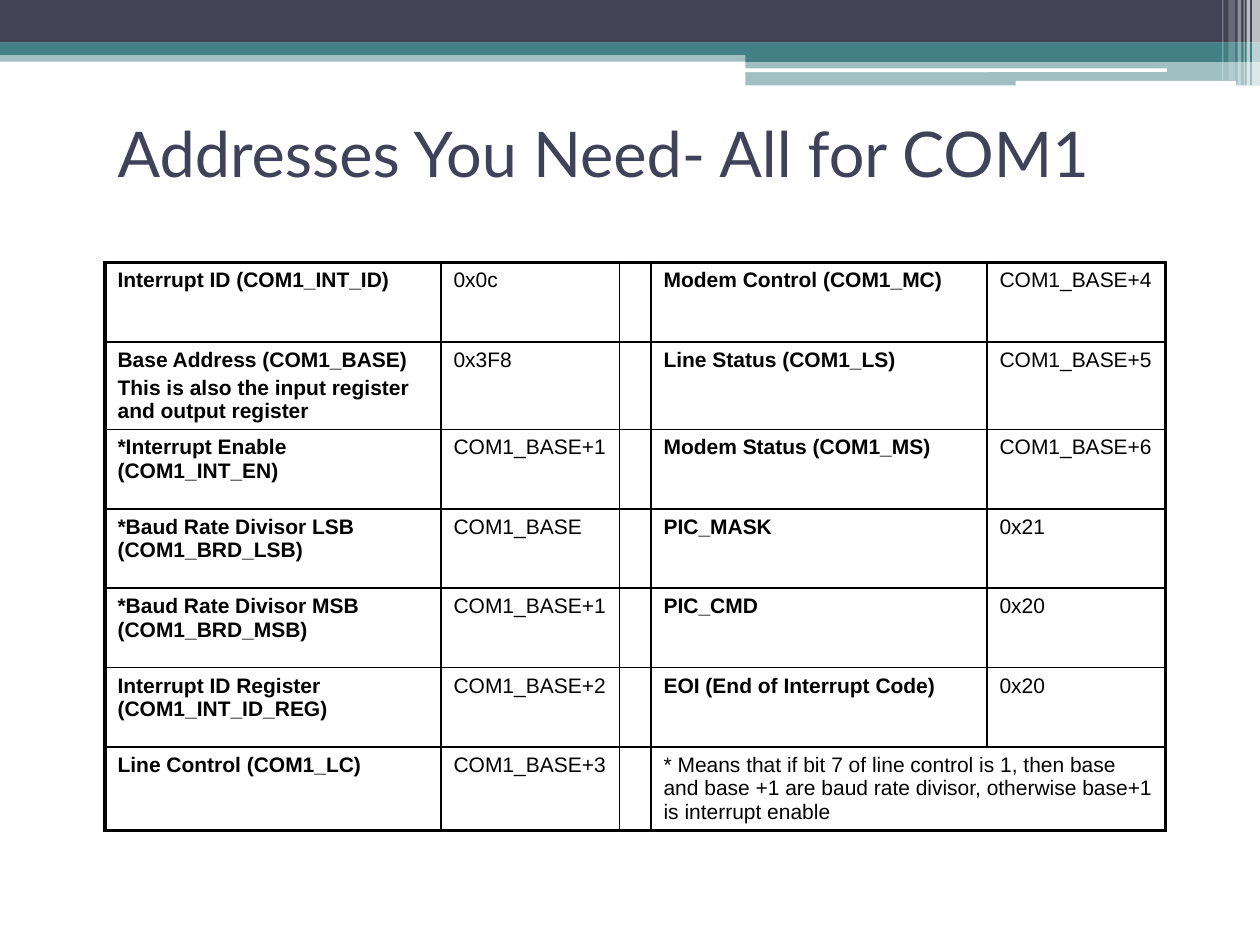
from dataclasses import dataclass

from lxml.etree import SubElement as Sub
from pptx import Presentation
from pptx.dml.color import RGBColor as Rgb
from pptx.enum.shapes import MSO_SHAPE as Kind
from pptx.enum.text import MSO_ANCHOR as Anchor, MSO_AUTO_SIZE as Fit, PP_ALIGN as Align
from pptx.oxml import parse_xml
from pptx.oxml.ns import nsdecls, qn
from pptx.util import Pt

NAVY, TEAL, WHITE, BLACK = "424456", "438086", "FFFFFF", "000000"
THIN, THICK = 1, 2.25


@dataclass
class Bar:
    """A band of the header, in points, with opacity in percent."""
    left: float
    top: float
    width: float
    height: float
    color: str
    alpha: int = 100
    kind: Kind = Kind.RECTANGLE


@dataclass
class Row:
    """One table row: a name and value on each side of the gap."""
    name: str
    value: str
    name2: str
    value2: str = ""


BARS = [
    Bar(0, 28.8, 720, 6.4, TEAL, 50),
    Bar(0, 0, 720, 24.4, NAVY),
    Bar(0, 24.2, 720, 7.2, TEAL),
    Bar(426, 28.2, 294, 7.2, TEAL),
    Bar(426, 34.7, 294, 14.1, TEAL, 50),
    Bar(425.6, 39.1, 241.2, 2.1, WHITE, kind=Kind.ROUNDED_RECTANGLE),
    Bar(580.4, 46.3, 126, 2.9, WHITE, kind=Kind.ROUNDED_RECTANGLE),
]
BARS += [Bar(left, 0, width, height, WHITE, alpha) for left, width, height, alpha in (
    (715.5, 4.5, 48.8, 65), (712.3, 2, 48.8, 65), (710.6, 0.7, 48.8, 60),
    (707.2, 2, 48.8, 40), (701.9, 4, 46, 20), (698.4, 0.7, 46, 30))]

ROWS = [
    Row("Interrupt ID (COM1_INT_ID)", "0x0c", "Modem Control (COM1_MC)", "COM1_BASE+4"),
    Row("Base Address (COM1_BASE)\nThis is also the input register and output register",
        "0x3F8", "Line Status (COM1_LS)", "COM1_BASE+5"),
    Row("*Interrupt Enable (COM1_INT_EN)", "COM1_BASE+1",
        "Modem Status (COM1_MS)", "COM1_BASE+6"),
    Row("*Baud Rate Divisor LSB (COM1_BRD_LSB)", "COM1_BASE", "PIC_MASK", "0x21"),
    Row("*Baud Rate Divisor MSB (COM1_BRD_MSB)", "COM1_BASE+1", "PIC_CMD", "0x20"),
    Row("Interrupt ID Register (COM1_INT_ID_REG)", "COM1_BASE+2",
        "EOI (End of Interrupt Code)", "0x20"),
    Row("Line Control (COM1_LC)", "COM1_BASE+3",
        "* Means that if bit 7 of line control is 1, then base and base +1 "
        "are baud rate divisor, otherwise base+1 is interrupt enable"),
]
WIDTHS = [192, 102, 18, 192, 102]
HIGH = 45.4


def paint(part, color: str) -> None:
    """Give a fill or a font a solid colour."""
    if hasattr(part, "solid"):
        part.solid()
        part.fore_color.rgb = Rgb.from_string(color)
    else:
        part.color.rgb = Rgb.from_string(color)


def style(part, form: dict) -> None:
    """Set each attribute named in the dict."""
    for key, value in form.items():
        setattr(part, key, value)


def draw(slide, bar: Bar) -> None:
    """Draw one header band."""
    box = slide.shapes.add_shape(
        bar.kind, Pt(bar.left), Pt(bar.top), Pt(bar.width), Pt(bar.height))
    box.shadow.inherit = False
    box.line.fill.background()
    paint(box.fill, bar.color)
    if bar.alpha < 100:
        tint = box.fill._xPr.find(".//" + qn("a:srgbClr"))
        Sub(tint, qn("a:alpha"), val=str(bar.alpha * 1000))


def head(slide, text: str) -> None:
    """Place and format the title."""
    title = slide.shapes.title
    style(title, dict(left=Pt(60), top=Pt(42), width=Pt(606), height=Pt(90)))
    frame = title.text_frame
    frame.text = text
    style(frame, dict(vertical_anchor=Anchor.MIDDLE, auto_size=Fit.NONE, word_wrap=True))
    para = frame.paragraphs[0]
    para.alignment = Align.LEFT
    font = para.runs[0].font
    style(font, dict(name="Lato", size=Pt(36)))
    paint(font, "3F4259")


def edge(cell, sides: dict[str, float]) -> None:
    """Add black borders of the given widths to a cell."""
    props = cell._tc.get_or_add_tcPr()
    for spot, (side, width) in enumerate(sides.items()):
        props.insert(spot, parse_xml(
            f'<a:ln{side} {nsdecls("a")} w="{Pt(width)}"><a:solidFill>'
            f'<a:srgbClr val="{BLACK}"/></a:solidFill></a:ln{side}>'))


def write(cell, text: str, bold: bool) -> None:
    """Fill a cell with text, one paragraph a line."""
    cell.text = text
    for para in cell.text_frame.paragraphs:
        para.space_before = Pt(2.4)
        style(para.font, dict(name="Arial", size=Pt(12)))
        for run in para.runs:
            style(run.font, dict(name="Arial", size=Pt(12), bold=bold))
            paint(run.font, BLACK)


def grid(slide, rows: list[Row]) -> None:
    """Build the address table."""
    last, end = len(rows) - 1, len(WIDTHS) - 1
    table = slide.shapes.add_table(len(rows), len(WIDTHS), Pt(60), Pt(150),
                                   Pt(sum(WIDTHS)), Pt(HIGH * len(rows))).table
    style(table, dict(first_row=False, horz_banding=False))
    for col, width in zip(table.columns, WIDTHS):
        col.width = Pt(width)
    table.cell(last, 3).merge(table.cell(last, end))
    for r, row in enumerate(rows):
        table.rows[r].height = Pt(HIGH)
        for c, text in enumerate((row.name, row.value, "", row.name2, row.value2)):
            cell = table.cell(r, c)
            if cell.is_spanned:
                continue
            wide = cell.span_width if cell.is_merge_origin else 1
            write(cell, text, c in (0, 3) and wide == 1)
            cell.fill.background()
            outer = dict(L=c == 0, R=c + wide > end, T=r == 0, B=r == last)
            edge(cell, {side: THICK if out else THIN for side, out in outer.items()})


def main() -> None:
    """Build and save the slide."""
    deck = Presentation()
    style(deck, dict(slide_width=Pt(720), slide_height=Pt(540)))
    slide = deck.slides.add_slide(deck.slide_layouts[5])
    paint(slide.background.fill, WHITE)
    for bar in BARS:
        draw(slide, bar)
    head(slide, "Addresses You Need- All for COM1")
    grid(slide, ROWS)
    deck.save("out.pptx")


main()
